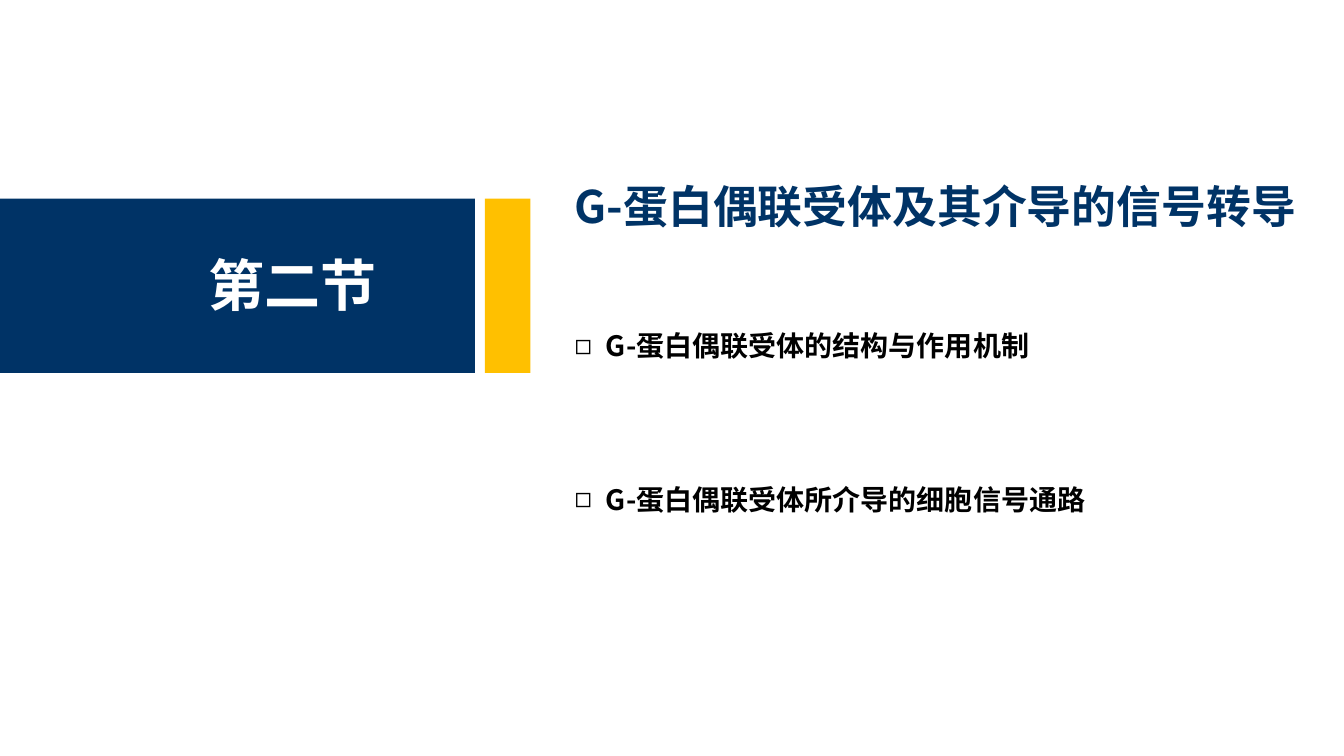
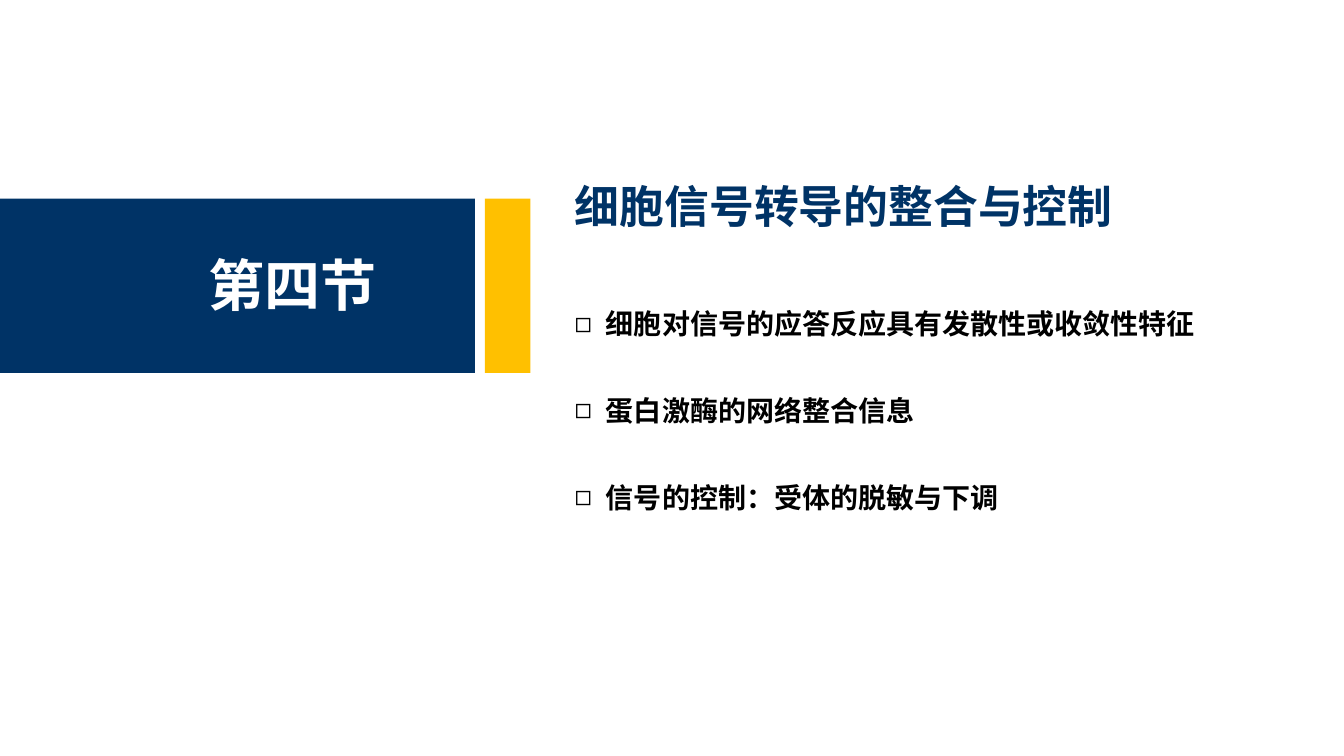
from dataclasses import dataclass

from lxml.etree import SubElement
from pptx import Presentation
from pptx.dml.color import RGBColor
from pptx.enum.shapes import MSO_SHAPE
from pptx.enum.text import MSO_ANCHOR, MSO_AUTO_SIZE, PP_ALIGN
from pptx.oxml.ns import qn
from pptx.presentation import Presentation as Deck
from pptx.slide import Slide
from pptx.text.text import TextFrame, _Paragraph
from pptx.util import Inches, Pt

NAVY = RGBColor(0x00, 0x33, 0x66)
GOLD = RGBColor(0xFF, 0xC0, 0x00)
WHITE = RGBColor(0xFF, 0xFF, 0xFF)
BLACK = RGBColor(0x00, 0x00, 0x00)
FONT = "Noto Sans CJK SC"

TEXT_LEFT = 5.6
TEXT_WIDTH = 7.73
ROW_HEIGHT = 0.44
TOPIC_LINE = 24
TOPIC_INDENT = 0.31


@dataclass(frozen=True)
class Band:
    left: float
    width: float
    color: RGBColor


@dataclass(frozen=True)
class Section:
    label: str
    title: str
    topics: tuple[str, ...]
    top: float
    pitch: float


BANDS = (Band(0, 4.71, NAVY), Band(4.81, 0.45, GOLD))

SECTIONS = (
    Section(
        "第二节",
        "G-蛋白偶联受体及其介导的信号转导",
        ("G-蛋白偶联受体的结构与作用机制", "G-蛋白偶联受体所介导的细胞信号通路"),
        top=3.21,
        pitch=1.52,
    ),
    Section(
        "第四节",
        "细胞信号转导的整合与控制",
        (
            "细胞对信号的应答反应具有发散性或收敛性特征",
            "蛋白激酶的网络整合信息",
            "信号的控制：受体的脱敏与下调",
        ),
        top=2.99,
        pitch=0.86,
    ),
)


def place(sp, left: float, top: float, width: float, height: float) -> TextFrame:
    sp.left, sp.top = Inches(left), Inches(top)
    sp.width, sp.height = Inches(width), Inches(height)
    tf = sp.text_frame
    tf.auto_size = MSO_AUTO_SIZE.NONE
    tf.word_wrap = True
    tf.vertical_anchor = MSO_ANCHOR.MIDDLE
    return tf


def write(p: _Paragraph, text: str, *, size: float, color: RGBColor) -> None:
    p.alignment = PP_ALIGN.LEFT
    r = p.add_run()
    r.text = text
    r.font.size = Pt(size)
    r.font.bold = True
    r.font.color.rgb = color
    r.font.name = FONT
    SubElement(r._r.get_or_add_rPr(), qn("a:ea")).set("typeface", FONT)


def add_bullet(p: _Paragraph) -> None:
    pPr = p._p.get_or_add_pPr()
    pPr.set("marL", str(Inches(TOPIC_INDENT)))
    pPr.set("indent", str(-Inches(TOPIC_INDENT)))
    SubElement(pPr, qn("a:buChar")).set("char", "◻")


def add_band(s: Slide, band: Band) -> None:
    sp = s.shapes.add_shape(
        MSO_SHAPE.RECTANGLE,
        Inches(band.left), Inches(1.97), Inches(band.width), Inches(1.73),
    )
    sp.shadow.inherit = False
    sp.fill.solid()
    sp.fill.fore_color.rgb = band.color
    sp.line.fill.background()


def add_topics(s: Slide, section: Section) -> None:
    height = section.pitch * (len(section.topics) - 1) + ROW_HEIGHT
    tf = place(s.placeholders[1], TEXT_LEFT, section.top, TEXT_WIDTH, height)
    for i, topic in enumerate(section.topics):
        p = tf.add_paragraph() if i else tf.paragraphs[0]
        add_bullet(p)
        p.line_spacing = Pt(TOPIC_LINE)
        p.space_before = Pt(section.pitch * 72 - TOPIC_LINE) if i else Pt(0)
        write(p, topic, size=20, color=BLACK)


def add_section(prs: Deck, section: Section) -> None:
    s = prs.slides.add_slide(prs.slide_layouts[1])
    for band in BANDS:
        add_band(s, band)
    label = s.shapes.add_textbox(0, 0, 0, 0)
    tf = place(label, 1.97, 2.43, 1.88, 0.77)
    write(tf.paragraphs[0], section.label, size=40, color=WHITE)
    tf = place(s.shapes.title, TEXT_LEFT, 1.72, TEXT_WIDTH, 0.64)
    write(tf.paragraphs[0], section.title, size=32, color=NAVY)
    add_topics(s, section)


def main() -> None:
    prs = Presentation()
    prs.slide_width, prs.slide_height = Inches(13.33), Inches(7.5)
    for section in SECTIONS:
        add_section(prs, section)
    prs.save("out.pptx")


if __name__ == "__main__":
    main()
